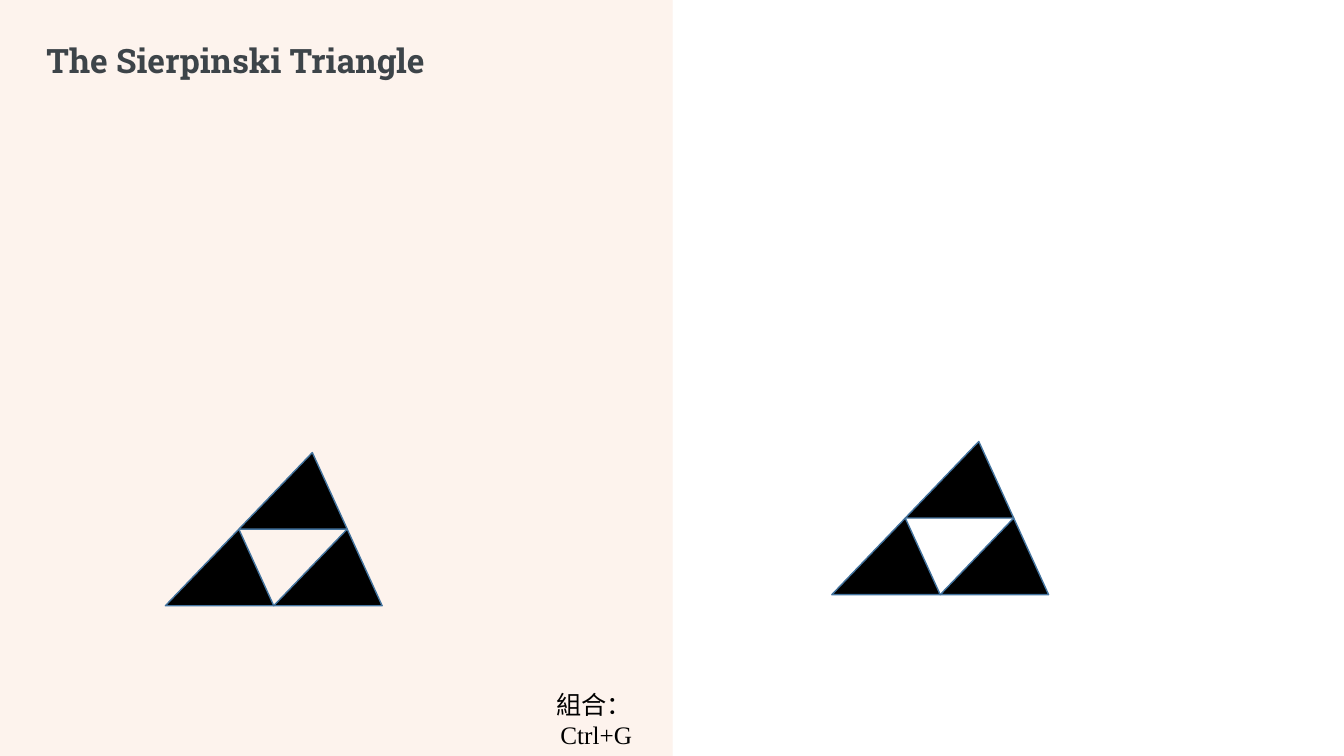
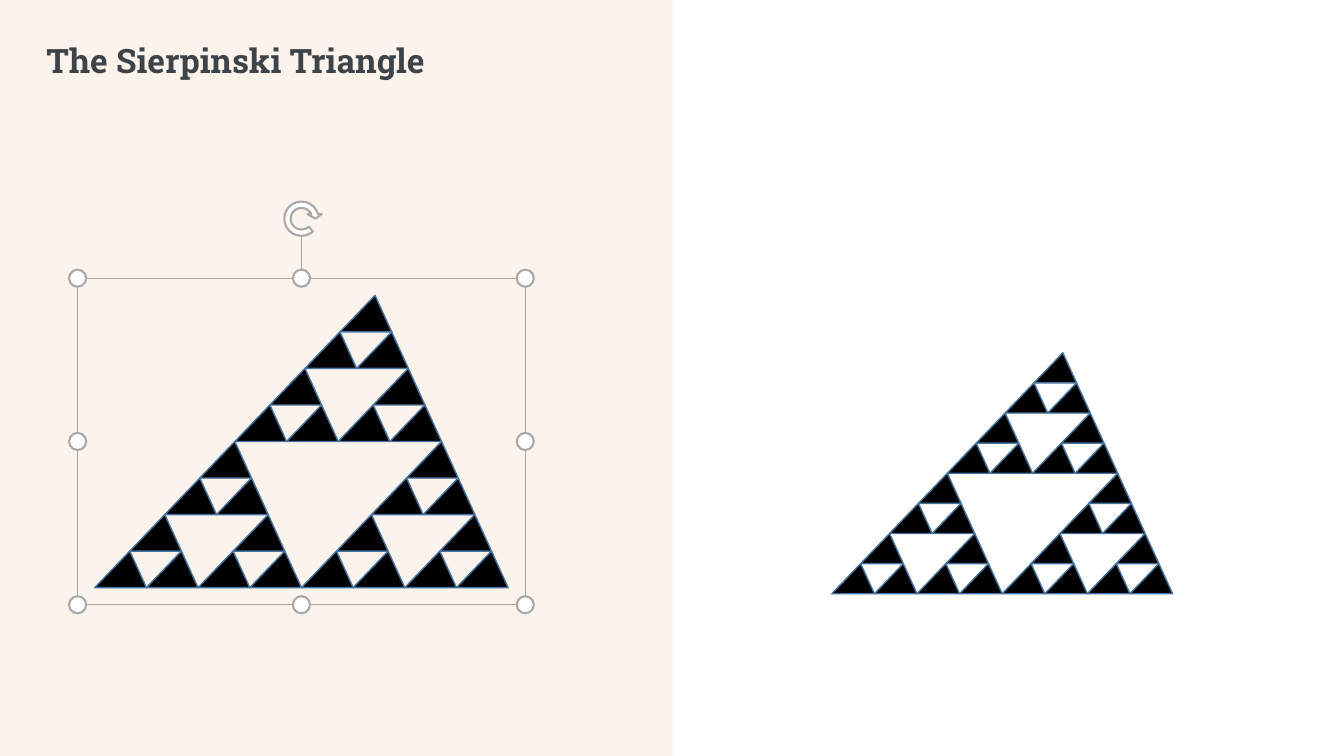
from itertools import product

from lxml import etree
from pptx import Presentation
from pptx.dml.color import RGBColor
from pptx.enum.shapes import MSO_CONNECTOR, MSO_SHAPE
from pptx.enum.text import MSO_ANCHOR, PP_ALIGN
from pptx.oxml.ns import qn
from pptx.util import Inches, Pt

RECT, ROUND_RECT, OVAL = MSO_SHAPE.RECTANGLE, MSO_SHAPE.ROUNDED_RECTANGLE, MSO_SHAPE.OVAL
TRIANGLE, ROTATE_ARROW = MSO_SHAPE.ISOSCELES_TRIANGLE, MSO_SHAPE.CIRCULAR_ARROW
STRAIGHT = MSO_CONNECTOR.STRAIGHT
MIDDLE = MSO_ANCHOR.MIDDLE
LEFT, RIGHT = PP_ALIGN.LEFT, PP_ALIGN.RIGHT

COLORS = {
    "band": "F4B183",
    "divider": "FBE5D6",
    "title": "3D4449",
    "black": "000000",
    "white": "FFFFFF",
    "edge": "43739E",
    "handle": "A9A9A9",
}
TITLE_FONT, BODY_FONT = "Roboto Slab", "Times New Roman"
SLIDE_W, SLIDE_H = 13.33, 7.5
BAND_W = 6.67
APEX = 0.678  # apex position as a share of the triangle's width
HANDLE = 0.17
ARROW_ADJUSTMENTS = (0.15, 11.19, 204.55, 28.68, 0.17)


def rgb(name):
    return RGBColor.from_string(COLORS[name])


def set_alpha(fill, percent):
    """Make a solid fill translucent."""
    color = fill._xPr.find(qn("a:solidFill"))[0]
    etree.SubElement(color, qn("a:alpha")).set("val", str(percent * 1000))


class Deck:
    def __init__(self):
        self.prs = Presentation()
        self.prs.slide_width = Inches(SLIDE_W)
        self.prs.slide_height = Inches(SLIDE_H)
        self.s = None

    def new_slide(self, title):
        self.s = self.prs.slides.add_slide(self.prs.slide_layouts[5])
        self.title(title)
        band = self.shape(RECT, 0, 0, BAND_W, SLIDE_H, fill="band")
        set_alpha(band.fill, 14)
        divider = self.line(BAND_W, SLIDE_H, BAND_W, 0, "divider", 0.25)
        set_alpha(divider.line.fill, 50)
        tree = self.s.shapes.element
        tree.insert(2, band.element)  # behind the title
        tree.insert(3, divider.element)

    def title(self, text):
        sp = self.s.shapes.title
        sp.left, sp.top = Inches(0.36), Inches(0.4)
        sp.width, sp.height = Inches(5.95), Inches(0.44)
        p = self.text(sp.text_frame, [text], TITLE_FONT, 24, "title", LEFT, bold=True)
        p.line_spacing = 0.9

    def text(self, tf, lines, font, size, color, align, bold=False):
        """Fill the frame with one paragraph broken into the given lines."""
        tf.word_wrap = True
        tf.vertical_anchor = MIDDLE
        p = tf.paragraphs[0]
        p.alignment = align
        for i, line in enumerate(lines):
            if i:
                p.add_line_break()
            r = p.add_run()
            r.text = line
            r.font.name, r.font.size, r.font.bold = font, Pt(size), bold
            r.font.color.rgb = rgb(color)
        return p

    def note(self, lines, x, y, w, h):
        sp = self.shape(ROUND_RECT, x, y, w, h)
        self.text(sp.text_frame, lines, BODY_FONT, 18, "black", RIGHT)

    def shape(self, kind, x, y, w, h, fill=None, line=None, weight=1, group=None):
        shapes = (group or self.s).shapes
        sp = shapes.add_shape(kind, Inches(x), Inches(y), Inches(w), Inches(h))
        sp.shadow.inherit = False
        if fill:
            sp.fill.solid()
            sp.fill.fore_color.rgb = rgb(fill)
        else:
            sp.fill.background()
        if line:
            sp.line.color.rgb = rgb(line)
            sp.line.width = Pt(weight)
        else:
            sp.line.fill.background()
        return sp

    def line(self, x1, y1, x2, y2, color, weight, group=None):
        shapes = (group or self.s).shapes
        cxn = shapes.add_connector(STRAIGHT, Inches(x1), Inches(y1), Inches(x2), Inches(y2))
        cxn.line.color.rgb = rgb(color)
        cxn.line.width = Pt(weight)
        etree.SubElement(cxn.element.spPr, qn("a:effectLst"))
        return cxn

    def sierpinski(self, x, y, w, h, depth, group=None):
        """Split a triangle into three half-size ones, depth times over."""
        group = group or self.s.shapes.add_group_shape()
        if depth == 0:
            sp = self.shape(TRIANGLE, x, y, w, h, "black", "edge", group=group)
            sp.adjustments[0] = APEX
            return
        w, h = w / 2, h / 2
        for dx, dy in ((0, h), (APEX * w, 0), (w, h)):
            self.sierpinski(x + dx, y + dy, w, h, depth - 1, group)

    def selection_frame(self, x, y, w, h):
        """Draw a selection box with eight handles and a rotation arrow."""
        group = self.s.shapes.add_group_shape()
        self.shape(RECT, x, y, w, h, line="handle", weight=0.5, group=group)
        for col, row in product((0, 0.5, 1), repeat=2):
            if (col, row) != (0.5, 0.5):
                self.shape(OVAL, x + col * w - HANDLE / 2, y + row * h - HANDLE / 2,
                           HANDLE, HANDLE, "white", "handle", 1.5, group)
        middle, size = x + w / 2, 0.42
        self.line(middle, y - HANDLE / 2, middle, y - 0.5, "handle", 0.5, group)
        arrow = self.shape(ROTATE_ARROW, middle - size / 2, y - 0.8, size, size,
                           "white", "handle", 1.5, group)
        for i, value in enumerate(ARROW_ADJUSTMENTS):
            arrow.adjustments[i] = value


def main():
    deck = Deck()
    title = "The Sierpinski Triangle"

    deck.new_slide(title)
    deck.sierpinski(1.64, 4.49, 2.15, 1.52, depth=1)
    deck.note(["組合：", "Ctrl+G"], 4.68, 6.91, 1.71, 0.45)
    deck.sierpinski(8.25, 4.38, 2.15, 1.52, depth=1)

    deck.new_slide(title)
    deck.sierpinski(0.94, 2.93, 4.1, 2.9, depth=3)
    deck.selection_frame(0.77, 2.76, 4.44, 3.24)
    deck.sierpinski(8.25, 3.5, 3.38, 2.39, depth=3)

    deck.prs.save("out.pptx")


if __name__ == "__main__":
    main()
